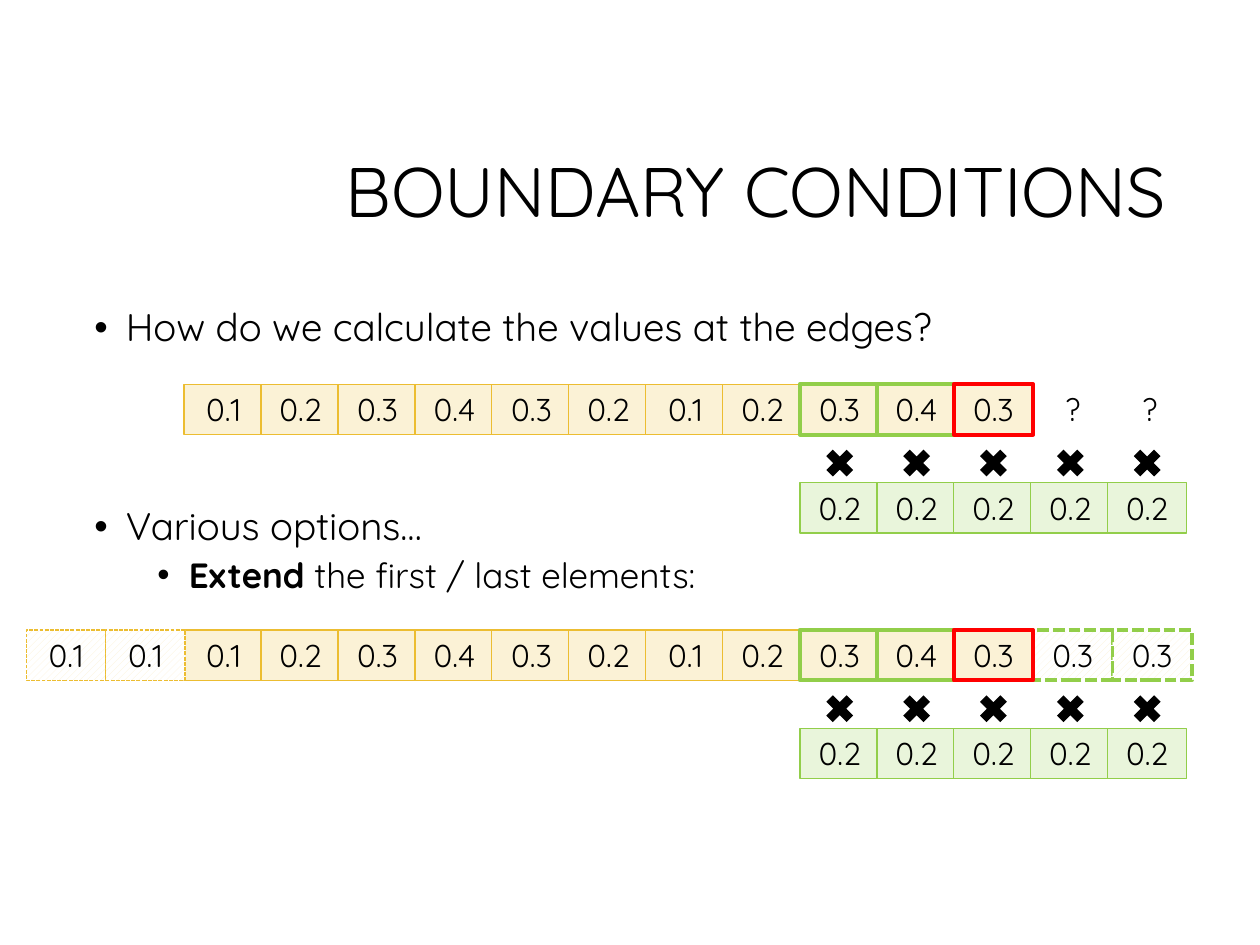
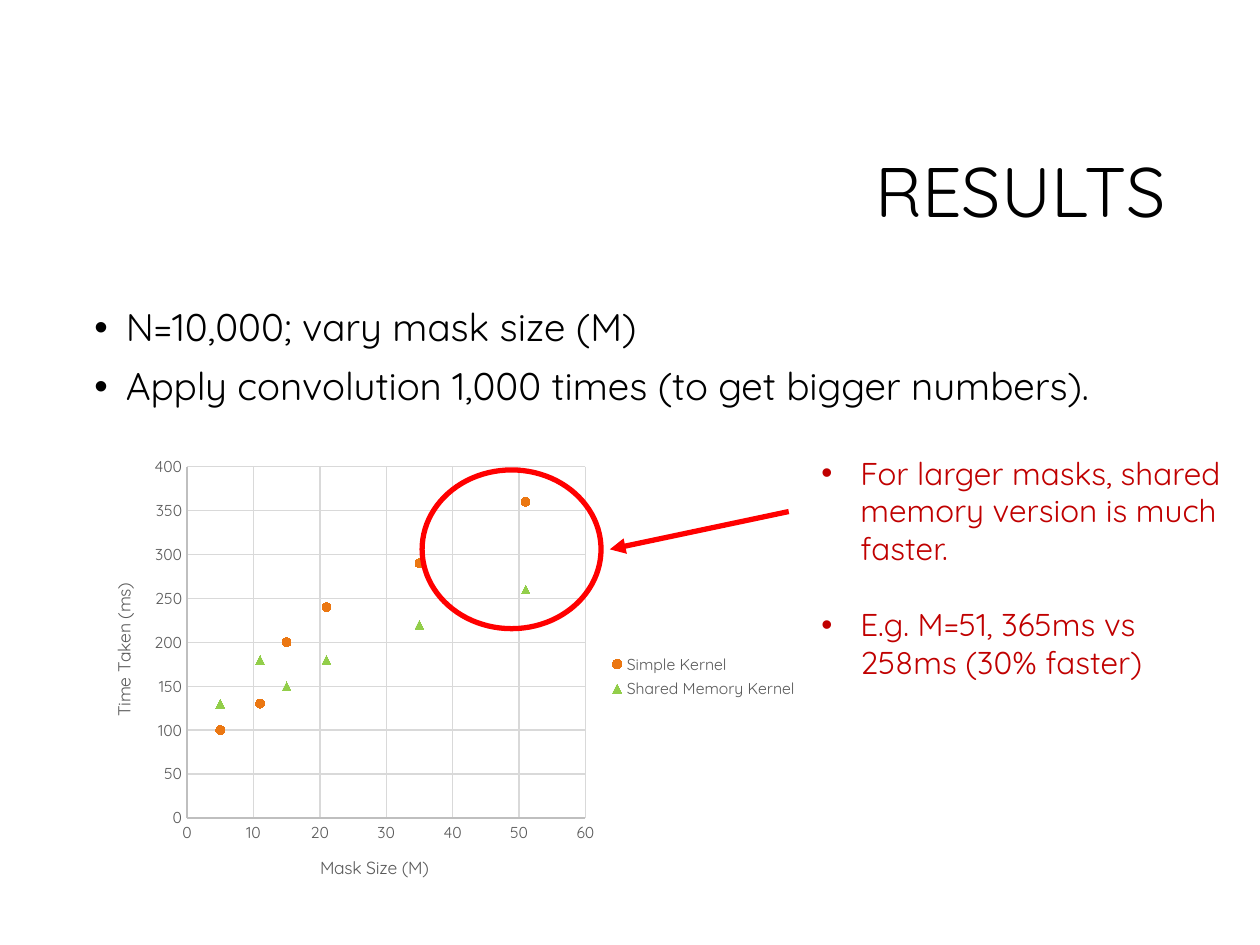
from lxml import etree
from pptx import Presentation
from pptx.chart.data import XyChartData
from pptx.dml.color import RGBColor
from pptx.enum import chart as ch, dml, shapes, text
from pptx.oxml.ns import qn
from pptx.util import Inches, Pt

# Shared look
FONT = "Quicksand"
BLACK = RGBColor(0, 0, 0)
RED = RGBColor(0xFF, 0, 0)
DARK_RED = RGBColor(0xC0, 0, 0)
GOLD = RGBColor(0xEC, 0xBD, 0x31)
PALE_GOLD = RGBColor(0xFB, 0xF2, 0xD6)
GREEN = RGBColor(0x92, 0xCE, 0x4A)
PALE_GREEN = RGBColor(0xE9, 0xF5, 0xDB)
ORANGE = RGBColor(0xEB, 0x77, 0x12)
WHITE = RGBColor(0xFF, 0xFF, 0xFF)
GREY = RGBColor(0x59, 0x59, 0x59)
AXIS_GREY = RGBColor(0xBF, 0xBF, 0xBF)
GRID_GREY = RGBColor(0xD9, 0xD9, 0xD9)

# Boundary slide content: bullets are (level, [(words, bold), ...])
QUESTION = [(0, [("How do we calculate the values at the edges?", False)])]
OPTIONS = [(0, [("Various options…", False)]),
           (1, [("Extend", True), (" the first / last elements:", False)])]
SIGNAL = ["0.1", "0.2", "0.3", "0.4", "0.3", "0.2", "0.1", "0.2", "0.3", "0.4", "0.3"]
MASK = ["0.2"] * 5
UNKNOWN = ["?", "?"]
FIRST_COPIES, LAST_COPIES = ["0.1"] * 2, ["0.3"] * 2

# Cell styles: fill, line colour, line width, extended beyond the signal
PLAIN = (PALE_GOLD, GOLD, 0.75, False)
COVERED = (PALE_GOLD, GREEN, 2.25, False)
CENTRE = (PALE_GOLD, RED, 2.25, False)
MASKED = (PALE_GREEN, GREEN, 0.75, False)
BEFORE = (PALE_GOLD, GOLD, 0.75, True)
AFTER = (PALE_GOLD, GREEN, 2.25, True)
SIGNAL_STYLES = [PLAIN] * 8 + [COVERED] * 2 + [CENTRE]

# Cell grid, in inches
CELL_W, CELL_H, PITCH = 0.63, 0.4, 0.61
SIGNAL_PITCH = (7.57 - 1.46) / (len(SIGNAL) - 1)
SIGNAL_LEFT, MASK_LEFT, CROSS_LEFT = 1.46, 6.35, 6.51
BEFORE_LEFT, AFTER_LEFT = 0.21, 8.2
CROSS_SIZE, CROSS_DROP, MASK_DROP = 0.31, 0.47, 0.78
QUESTION_TOP, EXTENDED_TOP = 3.05, 5.0

# Results slide content
SETUP = [(0, [("N=10,000; vary mask size (M)", False)]),
         (0, [("Apply convolution 1,000 times (to get bigger numbers).", False)])]
FINDINGS = ["For larger masks, shared memory version is much faster.",
            "E.g. M=51, 365ms vs 258ms (30% faster)"]
MASK_SIZES = [5, 11, 15, 21, 35, 51]
TIMINGS = [
    ("Simple Kernel", [100, 130, 200, 240, 290, 360], ORANGE, ch.XL_MARKER_STYLE.CIRCLE),
    ("Shared Memory Kernel", [130, 180, 150, 180, 220, 260], GREEN, ch.XL_MARKER_STYLE.TRIANGLE),
]
PLOT_AREA = {"x": 0.14, "y": 0.04, "w": 0.55, "h": 0.77}


def box(left, top, width, height):
    return [Inches(v) for v in (left, top, width, height)]


def style_font(font, size, colour=BLACK):
    font.name, font.size, font.color.rgb = FONT, Pt(size), colour


def add_text(slide, *place):
    frame = slide.shapes.add_textbox(*box(*place)).text_frame
    frame.word_wrap = True
    return frame


def next_paragraph(frame, index):
    return frame.add_paragraph() if index else frame.paragraphs[0]


def set_bullet(paragraph, margin, hang):
    props = paragraph._p.get_or_add_pPr()
    props.set("marL", str(Inches(margin)))
    props.set("indent", str(-Inches(hang)))
    etree.SubElement(props, qn("a:buFont")).set("typeface", "Arial")
    etree.SubElement(props, qn("a:buChar")).set("char", "•")


def add_title(slide, words):
    frame = add_text(slide, 2.38, 0.84, 6.97, 1.41)
    frame.vertical_anchor = text.MSO_ANCHOR.MIDDLE
    title = frame.paragraphs[0]
    title.text, title.alignment, title.line_spacing = words, text.PP_ALIGN.RIGHT, 0.9
    style_font(title.font, 40)


def add_bullets(slide, bullets, top, height):
    frame = add_text(slide, 0.65, top, 8.7, height)
    for i, (level, parts) in enumerate(bullets):
        bullet = next_paragraph(frame, i)
        bullet.level, bullet.line_spacing = level, 0.9
        bullet.space_before = Pt(5 if level else 10)
        set_bullet(bullet, 0.25 + 0.5 * level, 0.25)
        style_font(bullet.font, 20 if level else 22)
        for words, bold in parts:
            run = bullet.add_run()
            run.text = words
            if bold:
                run.font.bold = True


def add_preset(slide, preset, *place):
    shape = slide.shapes.add_shape(preset, *box(*place))
    shape.shadow.inherit = False
    return shape


def add_cell(slide, left, top, value, style=None):
    """A number in a box, or with no style just the number."""
    if style:
        fill, line, width, extended = style
        cell = add_preset(slide, shapes.MSO_SHAPE.RECTANGLE, left, top, CELL_W, CELL_H)
        if extended:
            cell.fill.patterned()
            cell.fill.pattern = dml.MSO_PATTERN.WIDE_UPWARD_DIAGONAL
            cell.fill.fore_color.rgb, cell.fill.back_color.rgb = fill, WHITE
            cell.line.dash_style = dml.MSO_LINE.SQUARE_DOT
        else:
            cell.fill.solid()
            cell.fill.fore_color.rgb = fill
        cell.line.color.rgb, cell.line.width = line, Pt(width)
    else:
        cell = slide.shapes.add_textbox(*box(left, top, CELL_W, CELL_H))
    frame = cell.text_frame
    frame.word_wrap = True
    frame.auto_size = text.MSO_AUTO_SIZE.SHAPE_TO_FIT_TEXT
    frame.vertical_anchor = text.MSO_ANCHOR.TOP
    number = frame.paragraphs[0]
    number.text, number.alignment = value, text.PP_ALIGN.CENTER
    style_font(number.font, 18)


def add_row(slide, left, top, values, styles, pitch=PITCH):
    for i, (value, style) in enumerate(zip(values, styles)):
        add_cell(slide, left + i * pitch, top, value, style)


def add_convolution(slide, top):
    """The signal with the mask below it, and a cross between each pair."""
    add_row(slide, SIGNAL_LEFT, top, SIGNAL, SIGNAL_STYLES, SIGNAL_PITCH)
    add_row(slide, MASK_LEFT, top + MASK_DROP, MASK, [MASKED] * len(MASK))
    for i in range(len(MASK)):
        cross = add_preset(slide, shapes.MSO_SHAPE.MATH_MULTIPLY, CROSS_LEFT + i * PITCH,
                           top + CROSS_DROP, CROSS_SIZE, CROSS_SIZE)
        cross.fill.solid()
        cross.fill.fore_color.rgb = BLACK
        cross.line.fill.background()


def build_boundary(slide):
    add_title(slide, "BOUNDARY CONDITIONS")
    add_bullets(slide, QUESTION, 2.4, 0.57)
    add_row(slide, AFTER_LEFT, QUESTION_TOP, UNKNOWN, [None] * 2)
    add_convolution(slide, QUESTION_TOP)
    add_bullets(slide, OPTIONS, 3.98, 1.26)
    add_row(slide, AFTER_LEFT, EXTENDED_TOP, LAST_COPIES, [AFTER] * 2, CELL_W)
    add_convolution(slide, EXTENDED_TOP)
    add_row(slide, BEFORE_LEFT, EXTENDED_TOP, FIRST_COPIES, [BEFORE] * 2, CELL_W)


def style_axis(axis, title, top_value, step):
    axis.minimum_scale, axis.maximum_scale, axis.major_unit = 0, top_value, step
    axis.major_tick_mark = axis.minor_tick_mark = ch.XL_TICK_MARK.NONE
    style_font(axis.tick_labels.font, 9, GREY)
    axis.has_major_gridlines = True
    for line, colour in ((axis.format.line, AXIS_GREY),
                         (axis.major_gridlines.format.line, GRID_GREY)):
        line.color.rgb, line.width = colour, Pt(0.75)
    heading = axis.axis_title.text_frame.paragraphs[0]
    heading.text = title
    style_font(heading.font, 10, GREY)
    heading.font.bold = False


def place_plot(chart):
    plot_area = chart._chartSpace.chart.plotArea
    for old in plot_area.findall(qn("c:layout")):
        plot_area.remove(old)
    layout = etree.Element(qn("c:layout"))
    plot_area.insert(0, layout)
    manual = etree.SubElement(layout, qn("c:manualLayout"))
    settings = {"layoutTarget": "inner", "xMode": "edge", "yMode": "edge", **PLOT_AREA}
    for key, value in settings.items():
        etree.SubElement(manual, qn("c:" + key)).set("val", str(value))


def add_timings(slide):
    data = XyChartData()
    for name, times, _, _ in TIMINGS:
        series = data.add_series(name)
        for size, time in zip(MASK_SIZES, times):
            series.add_data_point(size, time)
    chart = slide.shapes.add_chart(ch.XL_CHART_TYPE.XY_SCATTER,
                                   *box(0.68, 3.56, 5.75, 3.62), data).chart
    style_font(chart.font, 10)
    chart.has_title = False
    chart.has_legend = True
    chart.legend.position = ch.XL_LEGEND_POSITION.RIGHT
    chart.legend.include_in_layout = False
    style_font(chart.legend.font, 9, GREY)
    chart.plots[0].vary_by_categories = False
    for series, (_, _, colour, marker) in zip(chart.plots[0].series, TIMINGS):
        series.smooth = False
        series.format.line.fill.background()
        series.marker.style, series.marker.size = marker, 5
        series.marker.format.fill.solid()
        series.marker.format.fill.fore_color.rgb = colour
        series.marker.format.line.color.rgb = colour
    style_axis(chart.category_axis, "Mask Size (M)", 60, 10)
    style_axis(chart.value_axis, "Time Taken (ms)", 400, 50)
    place_plot(chart)


def build_results(slide):
    add_title(slide, "RESULTS")
    add_bullets(slide, SETUP, 2.4, 1.04)
    add_timings(slide)

    # Findings beside the chart, one line apart
    frame = add_text(slide, 6.42, 3.55, 3.38, 1.92)
    for i, words in enumerate(FINDINGS):
        finding = next_paragraph(frame, i)
        finding.text = words
        finding.space_before = Pt(22 * i)
        set_bullet(finding, 0.31, 0.31)
        style_font(finding.font, 18, DARK_RED)

    # Ring round the larger masks, and the arrow to it
    ring = add_preset(slide, shapes.MSO_SHAPE.OVAL, 3.35, 3.73, 1.42, 1.26)
    ring.fill.background()
    arrow = slide.shapes.add_connector(shapes.MSO_CONNECTOR.STRAIGHT,
                                       *box(6.26, 4.06, 4.84, 4.36))
    for mark in (ring, arrow):
        mark.line.color.rgb, mark.line.width = RED, Pt(3)
    etree.SubElement(arrow.line._get_or_add_ln(), qn("a:tailEnd")).set("type", "triangle")
    etree.SubElement(arrow._element.spPr, qn("a:effectLst"))


def main():
    deck = Presentation()
    deck.slide_width, deck.slide_height = Inches(10), Inches(7.5)
    for build in (build_boundary, build_results):
        build(deck.slides.add_slide(deck.slide_layouts[6]))
    deck.save("out.pptx")


if __name__ == "__main__":
    main()
